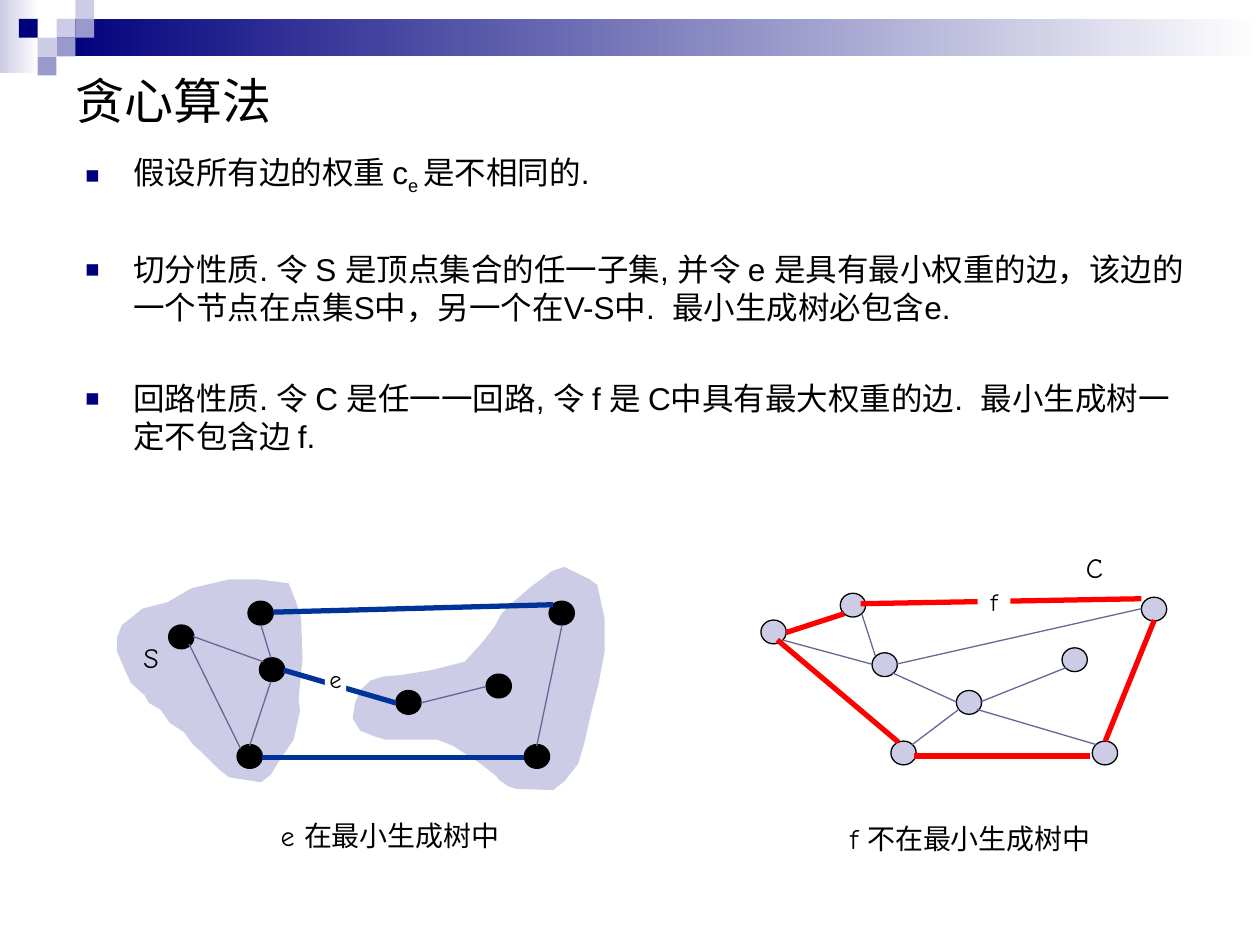
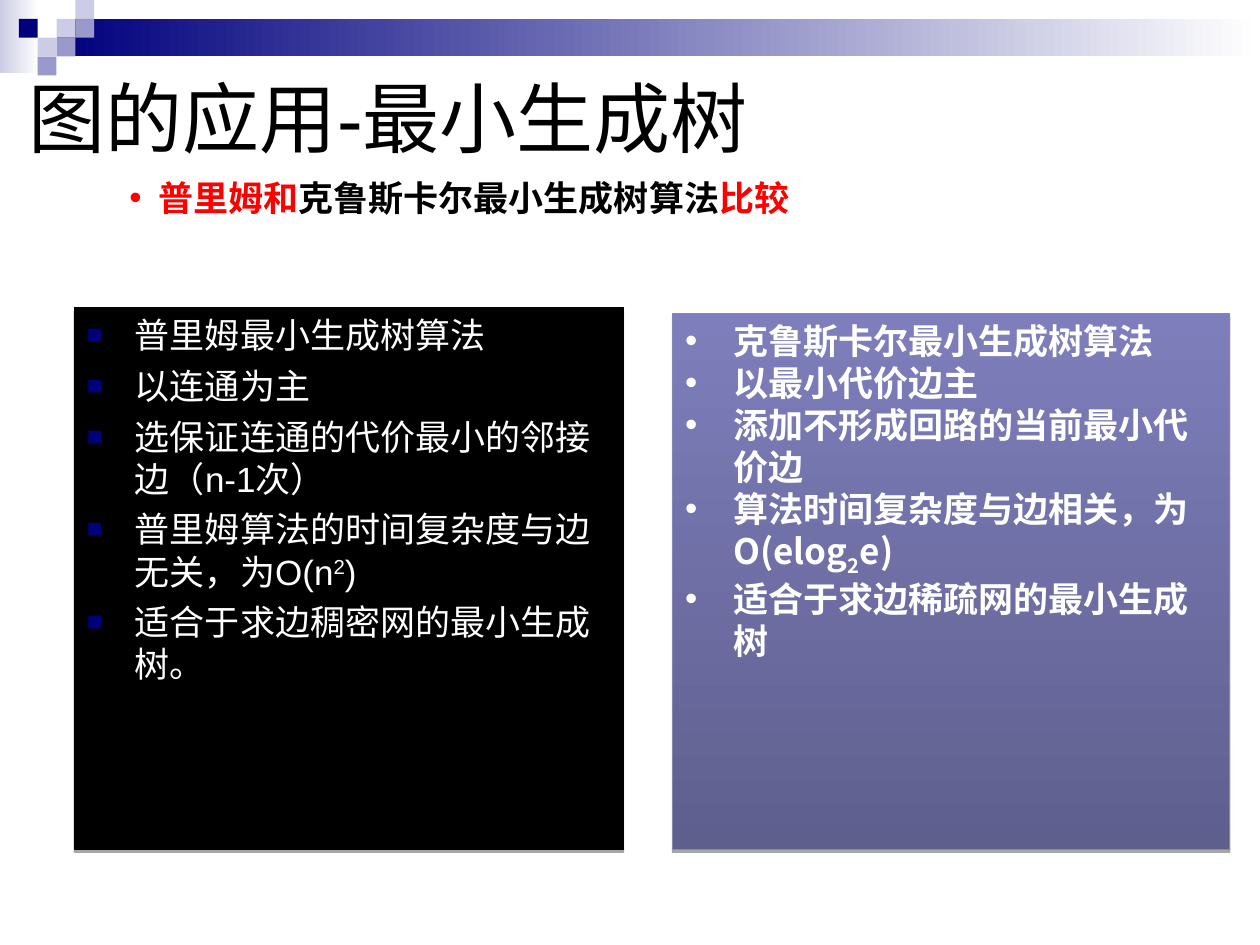
from lxml.etree import SubElement
from pptx import Presentation
from pptx.dml.color import RGBColor
from pptx.enum.shapes import MSO_CONNECTOR, MSO_SHAPE
from pptx.enum.text import MSO_ANCHOR as Anchor, PP_ALIGN as Align
from pptx.oxml.ns import qn
from pptx.util import Cm, Pt

color = RGBColor.from_string
BLACK, WHITE, RED = "000000", "FFFFFF", "FF0000"
NAVY, LILAC, VIOLET = "00007D", "CCCCE6", "9999CC"
BLUE, SLATE = "003399", "666699"
ARIAL, COMIC, NOTO = "Arial", "Comic Neue", "Noto Sans CJK SC"


def add_box(slide, kind, place, fill, line=None, angle=0):
    """Add a preset shape; a pair of fill colours makes a gradient."""
    shape = slide.shapes.add_shape(kind, *map(Cm, place))
    shape.shadow.inherit = False
    if isinstance(fill, tuple):
        shape.fill.gradient()
        shape.fill.gradient_angle = angle
        for stop, position, value in zip(shape.fill.gradient_stops, (0, 1), fill):
            stop.position = position
            stop.color.rgb = color(value)
    else:
        shape.fill.solid()
        shape.fill.fore_color.rgb = color(fill)
    if line:
        shape.line.color.rgb = color(line)
        shape.line.width = Pt(0.75)
    else:
        shape.line.fill.background()
    return shape


def write(shape, paragraphs, size, font=ARIAL, ink=BLACK, bold=False, wrap=True,
          anchor=Anchor.TOP, align=Align.LEFT, gap=0, bullet=None, indent=0.97):
    """Fill a shape with text; a run is a string or (text, baseline, colour).

    bullet is (character, colour, size in percent).
    """
    frame = shape.text_frame
    frame.word_wrap = wrap
    frame.vertical_anchor = anchor
    for index, runs in enumerate(paragraphs):
        paragraph = frame.add_paragraph() if index else frame.paragraphs[0]
        paragraph.alignment = align
        if index:
            paragraph.space_before = Pt(gap)
        if bullet:
            character, bullet_color, percent = bullet
            properties = paragraph._p.get_or_add_pPr()
            properties.set("marL", str(Cm(indent)))
            properties.set("indent", str(-Cm(indent)))
            SubElement(SubElement(properties, qn("a:buClr")), qn("a:srgbClr"), val=bullet_color)
            SubElement(properties, qn("a:buSzPct"), val=str(percent * 1000))
            SubElement(properties, qn("a:buFont"), typeface=ARIAL)
            SubElement(properties, qn("a:buChar"), char=character)
        paragraph.font.name = font
        paragraph.font.size = Pt(size)
        paragraph.font.bold = bold
        paragraph.font.color.rgb = color(ink)
        for part in [runs] if isinstance(runs, str) else runs:
            text, baseline, run_color = (part, 0, None) if isinstance(part, str) else part
            run = paragraph.add_run()
            run.text = text
            if baseline:
                run._r.get_or_add_rPr().set("baseline", str(baseline * 1000))
            if run_color:
                run.font.color.rgb = color(run_color)


presentation = Presentation()
presentation.slide_width, presentation.slide_height = Cm(25.4), Cm(19.05)

# Shared band, squares and title
CELL = 0.38
squares = [(3, 1, LILAC), (4, 0, LILAC), (4, 1, VIOLET), (2, 2, LILAC),
           (1, 1, NAVY), (3, 2, VIOLET), (2, 3, VIOLET)]
titles = [("贪心算法", 28, (1.27, 1.27, 22.86, 1.47)),
          ("图的应用-最小生成树", 44, (0.33, 0.76, 23.72, 3.18))]
for title, size, place in titles:
    slide = presentation.slides.add_slide(presentation.slide_layouts[6])
    add_box(slide, MSO_SHAPE.RECTANGLE, (0, 0, 0.79, 1.47), (LILAC, WHITE))
    add_box(slide, MSO_SHAPE.RECTANGLE, (3 * CELL, CELL, 24.26, 2 * CELL), (NAVY, WHITE))
    for column, row, fill in squares:
        add_box(slide, MSO_SHAPE.RECTANGLE, (column * CELL, row * CELL, CELL, CELL), fill)
    write(slide.shapes.add_textbox(*map(Cm, place)), [title], size, anchor=Anchor.MIDDLE)
greedy_slide, compare_slide = presentation.slides
square_bullet = ("■", NAVY, 75)

# Slide 1: the two vertex sets of the cut
far_set = [
    (11.38, 11.43), (11.89, 11.68), (12.04, 11.79), (12.19, 12.47), (12.19, 13.13),
    (12.07, 13.77), (11.91, 14.4), (11.79, 14.94), (11.66, 15.39), (11.38, 15.75),
    (11.15, 15.93), (10.39, 15.9), (10.24, 15.85), (10.06, 15.72), (10.01, 15.65),
    (9.68, 15.39), (9.5, 15.27), (9.14, 15.04), (8.81, 14.91), (7.77, 14.91),
    (7.59, 14.86), (7.34, 14.76), (7.26, 14.73), (7.11, 14.48), (7.16, 14.17),
    (7.26, 13.92), (7.47, 13.72), (7.72, 13.64), (8.08, 13.61), (8.69, 13.51),
    (9.37, 13.34), (9.7, 12.98), (9.96, 12.65), (10.11, 12.37), (10.31, 12.17),
    (10.69, 11.84), (10.87, 11.71), (11.13, 11.51)]
set_s = [
    (2.87, 12.27), (3.38, 12.14), (3.86, 11.86), (4.62, 11.68), (5.21, 11.68),
    (5.82, 11.76), (5.97, 12.14), (6.07, 12.47), (6.1, 13.26), (6.02, 14.1),
    (6.05, 14.33), (5.92, 14.91), (5.61, 15.37), (5.46, 15.62), (5.26, 15.77),
    (4.62, 15.67), (4.45, 15.54), (4.32, 15.42), (4.04, 15.14), (3.89, 15.01),
    (3.71, 14.76), (3.43, 14.58), (3.23, 14.3), (3, 14.17), (2.92, 14.02),
    (2.64, 13.77), (2.49, 13.44), (2.36, 13.13), (2.36, 12.85), (2.46, 12.6),
    (2.69, 12.42)]
for outline in (far_set, set_s):
    start, *rest = [(Cm(x), Cm(y)) for x, y in outline]
    builder = greedy_slide.shapes.build_freeform(*start)
    builder.add_line_segments(rest, close=True)
    region = builder.convert_to_shape()
    region.shadow.inherit = False
    region.fill.solid()
    region.fill.fore_color.rgb = color(LILAC)
    region.line.fill.background()

# Slide 1: vertices of the cut graph and the cycle graph
vertices = {
    BLACK: [(3.4, 12.6), (11.07, 12.12), (10.57, 15.01), (5, 12.12),
            (5.23, 13.26), (4.78, 15.01), (9.8, 13.59), (7.98, 13.92)],
    LILAC: [(15.34, 12.5), (23.01, 12.04), (22.02, 14.94), (16.94, 11.96),
            (17.58, 13.16), (17.96, 14.94), (21.41, 13.06), (19.28, 13.92)]}
for fill, corners in vertices.items():
    for left, top in corners:
        add_box(greedy_slide, MSO_SHAPE.OVAL, (left, top, 0.51, 0.48), fill, BLACK)

# Slide 1: cycle edges, cut edges and plain edges
edges = {
    (RED, 3): [
        (15.85, 12.75, 17.02, 12.37), (18.11, 14.96, 15.67, 12.9),
        (23.27, 12.5, 22.28, 14.94), (21.97, 15.24, 18.42, 15.24),
        (17.35, 12.17, 23.01, 12.07)],
    (BLUE, 3): [
        (10.57, 15.27, 5.28, 15.27), (5.51, 12.34, 11.15, 12.19),
        (5.72, 13.51, 7.98, 14.17)],
    (SLATE, 0.75): [
        (3.89, 12.83, 5.31, 13.34), (3.81, 12.98, 4.85, 15.09),
        (5.26, 12.6, 5.46, 13.26), (5.46, 13.74, 5.03, 15.04),
        (11.33, 12.6, 10.82, 15.04), (9.8, 13.84, 8.48, 14.17),
        (17.37, 12.37, 17.65, 13.23), (23.01, 12.27, 18.06, 13.39),
        (19.28, 14.15, 17.98, 13.56), (19.33, 14.3, 18.39, 15.01),
        (22.1, 15.01, 19.69, 14.3), (21.49, 13.46, 19.76, 14.15),
        (17.58, 13.39, 15.77, 12.9)]}
for (edge_color, width), ends in edges.items():
    for end in ends:
        edge = greedy_slide.shapes.add_connector(MSO_CONNECTOR.STRAIGHT, *map(Cm, end))
        edge.line.color.rgb = color(edge_color)
        edge.line.width = Pt(width)
        SubElement(edge._element.spPr, qn("a:effectLst"))

# Slide 1: labels on the edges, then beside the graphs
for label, place in [("f", (19.71, 11.84, 0.66, 0.58)), ("e", (6.55, 13.39, 0.43, 0.58))]:
    tag = add_box(greedy_slide, MSO_SHAPE.RECTANGLE, place, WHITE)
    frame = tag.text_frame
    frame.margin_left = frame.margin_right = frame.margin_top = frame.margin_bottom = 0
    write(tag, [label], 14, COMIC, align=Align.CENTER)
labels = [("C", (21.64, 10.97, 0.86, 0.94)),
          ("S", (2.64, 12.78, 0.81, 0.94)),
          ("e 在最小生成树中", (5.41, 16.38, 5.05, 0.94)),
          ("f 不在最小生成树中", (16.89, 16.43, 5.49, 0.94))]
for label, place in labels:
    write(greedy_slide.shapes.add_textbox(*map(Cm, place)), [label], 16, COMIC, wrap=False)

# Slide 1: properties
properties_box = greedy_slide.shapes.add_textbox(Cm(1.47), Cm(2.97), Cm(22.86), Cm(10.8))
write(properties_box, [
    ["假设所有边的权重 c", ("e ", -25, None), "是不相同的."],
    "切分性质. 令 S 是顶点集合的任一子集, 并令 e 是具有最小权重的边，"
    "该边的一个节点在点集S中，另一个在V-S中.  最小生成树必包含e.",
    "回路性质. 令 C 是任一一回路, 令 f 是 C中具有最大权重的边.  最小生成树一定不包含边 f.",
], 18, gap=30.7, bullet=square_bullet)

# Slide 2: subtitle
subtitle = compare_slide.shapes.add_textbox(Cm(2.36), Cm(2.82), Cm(21.18), Cm(2.31))
write(subtitle, [["普里姆和", ("克鲁斯卡尔最小生成树算法", 0, BLACK), "比较"]], 20, NOTO, RED,
      bold=True, anchor=Anchor.MIDDLE, bullet=("•", RED, 100), indent=0.58)

# Slide 2: the two panels
prim_panel = add_box(compare_slide, MSO_SHAPE.RECTANGLE, (1.5, 6.2, 11.07, 10.92), BLACK, BLACK)
kruskal_panel = add_box(compare_slide, MSO_SHAPE.RECTANGLE, (13.56, 6.32, 11.23, 10.8),
                        ("7E7EBC", "5F5F8E"), "8686B6", angle=270)
for panel in (prim_panel, kruskal_panel):
    effects = panel._element.spPr.find(qn("a:effectLst"))
    shadow = SubElement(effects, qn("a:outerShdw"), blurRad="0", dist=str(Pt(1.8)),
                        dir="5400000", rotWithShape="0")
    shadow_color = SubElement(shadow, qn("a:srgbClr"), val=BLACK)
    SubElement(shadow_color, qn("a:alpha"), val="35000")

write(prim_panel, [
    "普里姆最小生成树算法",
    "以连通为主",
    "选保证连通的代价最小的邻接边（n-1次）",
    ["普里姆算法的时间复杂度与边无关，为O(n", ("2", 30, None), ")"],
    "适合于求边稠密网的最小生成树。",
], 20, ink=WHITE, gap=5, bullet=square_bullet)
write(kruskal_panel, [
    "克鲁斯卡尔最小生成树算法",
    "以最小代价边主",
    "添加不形成回路的当前最小代价边",
    ["算法时间复杂度与边相关，为Ο(elog", ("2", -25, None), "e)"],
    "适合于求边稀疏网的最小生成树",
], 20, NOTO, WHITE, bold=True, bullet=("•", WHITE, 100))

presentation.save("out.pptx")
